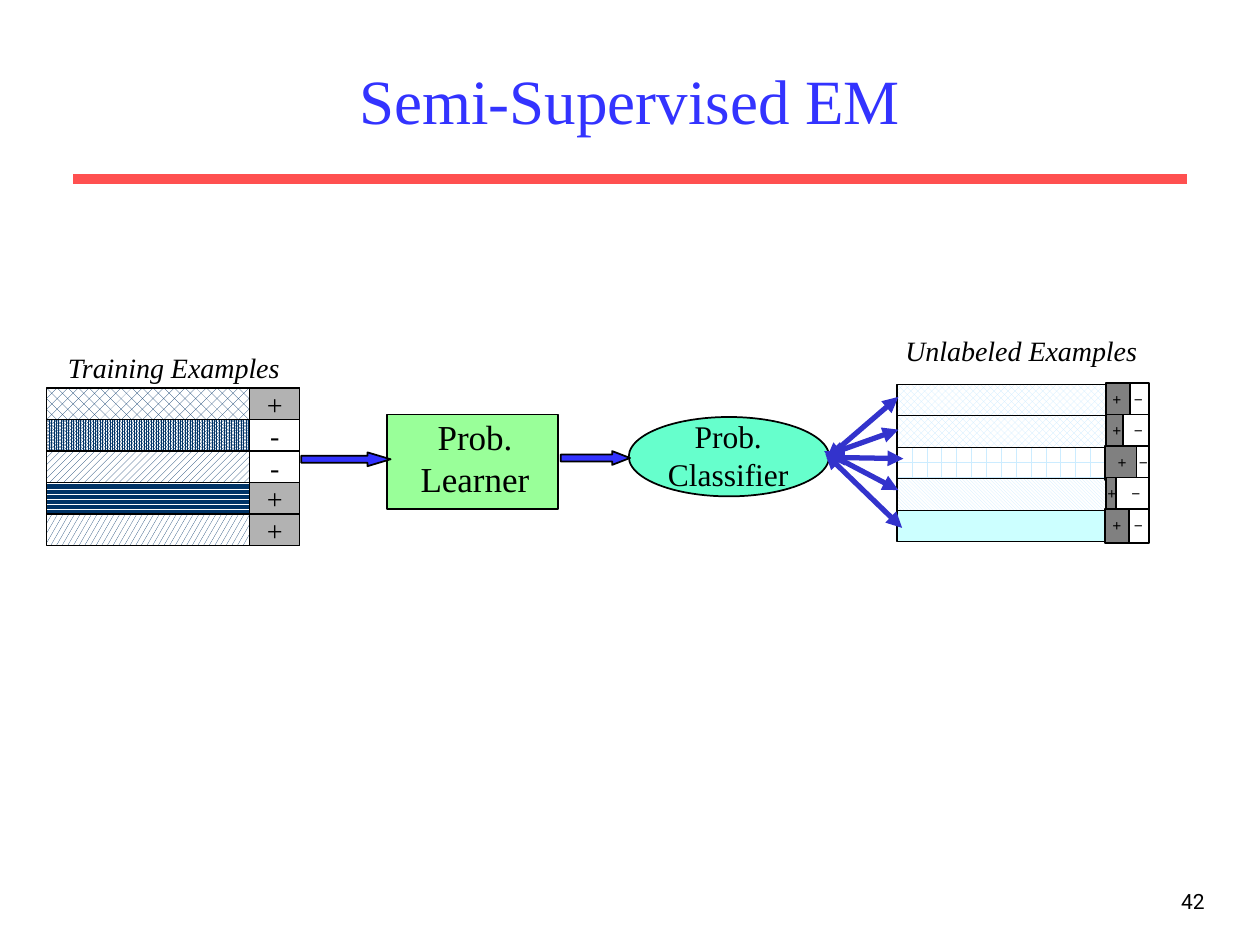
from lxml import etree
from pptx import Presentation
from pptx.dml.color import RGBColor
from pptx.enum import dml, shapes, text
from pptx.oxml import ns
from pptx.util import Inches, Pt

SERIF = "Times New Roman"
BLACK = RGBColor(0x00, 0x00, 0x00)
WHITE = RGBColor(0xFF, 0xFF, 0xFF)
GRAY = RGBColor(0x80, 0x80, 0x80)
LIGHT_GRAY = RGBColor(0xB2, 0xB2, 0xB2)
RED = RGBColor(0xFF, 0x50, 0x50)
BLUE = RGBColor(0x33, 0x33, 0xFF)
DARK_BLUE = RGBColor(0x33, 0x33, 0xCC)
NAVY = RGBColor(0x00, 0x33, 0x66)
PALE_BLUE = RGBColor(0xCC, 0xEC, 0xFF)
PALE_CYAN = RGBColor(0xCC, 0xFF, 0xFF)
GREEN = RGBColor(0x99, 0xFF, 0x99)
MINT = RGBColor(0x66, 0xFF, 0xCC)

ROW = 0.25
TRAINING_LEFT, TRAINING_TOP = 0.37, 3.08
TRAINING_ROWS = [("pct40", "+"), ("pct90", "-"), ("wdUpDiag", "-"),
                 ("dkHorz", "+"), ("lgConfetti", "+")]

UNLABELED_LEFT, UNLABELED_TOP, UNLABELED_RIGHT = 7.12, 3.05, 9.12
UNLABELED_PATTERNS = ["lgCheck", "openDmnd", "horzBrick", "dkDnDiag", None]
# plus left, plus width, minus left, plus sign left, minus sign left, plus in front
PROBABILITIES = [
    (8.78, 0.20, 8.97, 8.73, 8.90, False),
    (8.78, 0.20, 8.91, 8.73, 8.90, False),
    (8.77, 0.25, 8.96, 8.77, 8.94, True),
    (8.78, 0.20, 8.86, 8.69, 8.88, False),
    (8.77, 0.20, 8.96, 8.73, 8.90, False),
]

BLOCK_ARROWS = [(2.39, 3.59, 0.71, 1.668), (4.45, 3.58, 0.55, 1.287)]
FAN = [((6.56, 3.64), (7.13, 3.15)), ((6.57, 3.61), (7.13, 3.41)),
       ((6.58, 3.63), (7.17, 3.64)), ((6.54, 3.58), (7.13, 3.89)),
       ((6.55, 3.60), (7.16, 4.19))]


def inches(*values):
    return [Inches(value) for value in values]


def write(shape, content, size, color=BLACK, font=SERIF, italic=False, bold=False,
          align=text.PP_ALIGN.CENTER, wrap=False, anchor=text.MSO_ANCHOR.TOP):
    frame = shape.text_frame
    frame.text = content
    frame.word_wrap = wrap
    frame.vertical_anchor = anchor
    for paragraph in frame.paragraphs:
        paragraph.alignment = align
        for run in paragraph.runs:
            run.font.name, run.font.size = font, Pt(size)
            run.font.color.rgb = color
            run.font.italic, run.font.bold = italic, bold


def add_label(parent, box, content, size, **style):
    write(parent.shapes.add_textbox(*inches(*box)), content, size, **style)


def add_box(parent, box, fill, kind=shapes.MSO_SHAPE.RECTANGLE, width=1, pattern=None):
    shape = parent.shapes.add_shape(kind, *inches(*box))
    shape.shadow.inherit = False
    if pattern:
        shape.fill.patterned()
        shape.fill.pattern = dml.MSO_PATTERN.from_xml(pattern)
        shape.fill.fore_color.rgb = fill
        shape.fill.back_color.rgb = WHITE
    else:
        shape.fill.solid()
        shape.fill.fore_color.rgb = fill
    shape.line.color.rgb = BLACK
    shape.line.width = Pt(width)
    return shape


def add_line(parent, start, end, color, width, arrows=False):
    line = parent.shapes.add_connector(shapes.MSO_CONNECTOR.STRAIGHT,
                                       *inches(*start, *end))
    line.line.color.rgb = color
    line.line.width = Pt(width)
    if arrows:
        outline = line.line._get_or_add_ln()
        for tag in ("a:headEnd", "a:tailEnd"):
            etree.SubElement(outline, ns.qn(tag), type="triangle")
    etree.SubElement(line._element.spPr, ns.qn("a:effectLst"))


def add_training(slide):
    group = slide.shapes.add_group_shape()
    divider = TRAINING_LEFT + 1.61
    for index, (pattern, sign) in enumerate(TRAINING_ROWS):
        top = TRAINING_TOP + index * ROW
        add_box(group, (TRAINING_LEFT, top, 2.01, ROW), NAVY, width=0.75, pattern=pattern)
        cell = add_box(group, (divider, top, 0.4, ROW),
                       LIGHT_GRAY if sign == "+" else WHITE, width=0.75)
        write(cell, sign, 16, italic=True, anchor=text.MSO_ANCHOR.MIDDLE)
    add_label(group, (0.43, 2.73, 1.9, 0.37), "Training Examples", 16, italic=True)


def add_unlabeled(slide):
    group = slide.shapes.add_group_shape()
    for index, pattern in enumerate(UNLABELED_PATTERNS):
        top = UNLABELED_TOP + index * ROW
        add_box(group, (UNLABELED_LEFT, top, 1.67, ROW),
                PALE_BLUE if pattern else PALE_CYAN, width=0.75, pattern=pattern)
        add_box(group, (8.79, top, 0.33, ROW), WHITE, width=0.75)
    add_label(slide, (7.08, 2.6, 2.05, 0.37), "Unlabeled Examples", 16, italic=True)


def add_probabilities(slide):
    # The lower rows are drawn first, so each row's top edge stays visible
    for index, row in enumerate(PROBABILITIES):
        plus_left, plus_width, minus_left, plus_sign, minus_sign, plus_in_front = row
        top = UNLABELED_TOP - 0.01 + index * ROW
        parts = [("+", plus_left, plus_width, GRAY, plus_sign),
                 ("−", minus_left, UNLABELED_RIGHT - minus_left, WHITE, minus_sign)]
        if plus_in_front:
            parts.reverse()
        group = slide.shapes.add_group_shape()
        for _, left, width, fill, _ in parts:
            add_box(group, (left, top, width, 0.27), fill)
        for sign, _, _, _, left in parts:
            add_label(group, (left, top, 0.27, 0.25), sign, 9, bold=True)


def main():
    presentation = Presentation()
    presentation.slide_width, presentation.slide_height = inches(10, 7.5)
    slide = presentation.slides.add_slide(presentation.slide_layouts[5])

    title = slide.shapes.title
    title.left, title.top, title.width, title.height = inches(0.75, 0.25, 8.5, 1.08)
    write(title, "Semi-Supervised EM", 36, BLUE, wrap=True,
          anchor=text.MSO_ANCHOR.MIDDLE)
    add_line(slide, (0.58, 1.42), (9.42, 1.42), RED, 6)
    add_label(slide, (7.58, 7, 2.08, 0.5), "42", 12, font="Roboto",
              align=text.PP_ALIGN.RIGHT, wrap=True)

    add_unlabeled(slide)
    add_training(slide)

    learner = slide.shapes.add_group_shape()
    add_box(learner, (3.07, 3.29, 1.36, 0.75), GREEN)
    add_label(learner, (3.23, 3.25, 1.08, 0.77), "Prob. Learner", 20, wrap=True)
    classifier = slide.shapes.add_group_shape()
    add_box(classifier, (4.99, 3.31, 1.59, 0.63), MINT, shapes.MSO_SHAPE.OVAL)
    add_label(classifier, (5.2, 3.26, 1.16, 0.7), "Prob.\nClassifier", 18)

    for left, top, width, head in BLOCK_ARROWS:
        arrow = add_box(slide, (left, top, width, 0.11), BLUE,
                        shapes.MSO_SHAPE.RIGHT_ARROW)
        arrow.adjustments[1] = head
    for start, end in FAN:
        add_line(slide, start, end, DARK_BLUE, 3, arrows=True)
    add_probabilities(slide)

    presentation.save("out.pptx")


if __name__ == "__main__":
    main()
